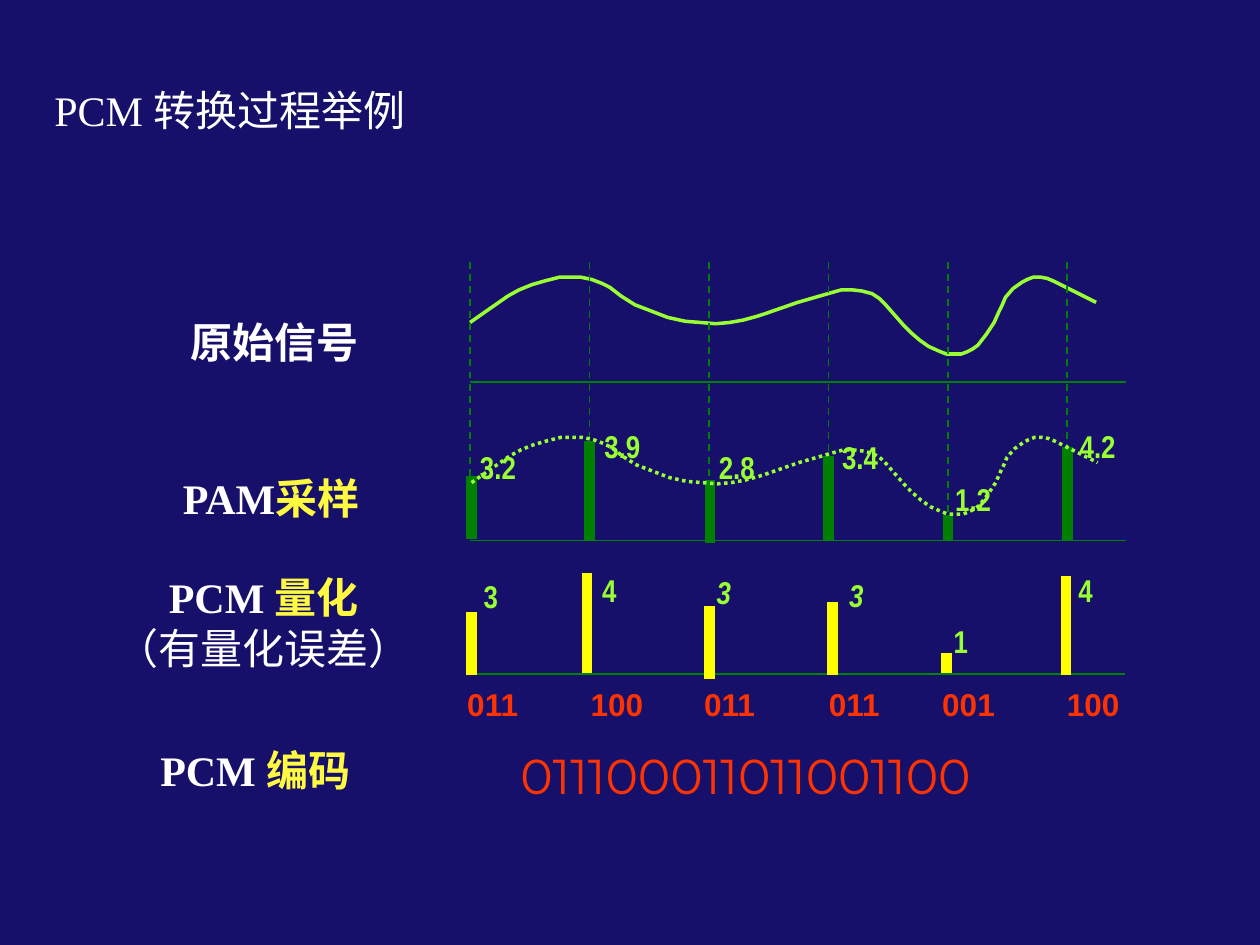
from collections import namedtuple
from dataclasses import dataclass

from lxml import etree
from pptx import Presentation
from pptx.dml.color import RGBColor
from pptx.enum.dml import MSO_LINE
from pptx.enum.shapes import MSO_CONNECTOR
from pptx.enum.text import MSO_ANCHOR, PP_ALIGN
from pptx.oxml.ns import qn
from pptx.util import Pt

STRAIGHT = MSO_CONNECTOR.STRAIGHT
DASH, DOTTED = MSO_LINE.DASH, MSO_LINE.ROUND_DOT
LEFT, CENTER = PP_ALIGN.LEFT, PP_ALIGN.CENTER
TOP, MIDDLE = MSO_ANCHOR.TOP, MSO_ANCHOR.MIDDLE


@dataclass(frozen=True)
class Theme:
    navy: str = "16106B"
    white: str = "FFFFFF"
    yellow: str = "FFFA41"
    bright_yellow: str = "FFFF00"
    lime: str = "99FF33"
    green: str = "008000"
    red: str = "FF3300"
    heading: float = 24
    value: float = 18
    stream: float = 28
    serif: str = "Times New Roman"
    narrow: str = "Arial Narrow"
    sans: str = "Arial"
    display: str = "Montserrat"


THEME = Theme()
Box = namedtuple("Box", "left top width height")
Sample = namedtuple("Sample", "value label_dx label_y bar_dx bar_top bar_end italic", defaults=[False])

PITCH = 68.26
COLUMNS = 6

WAVE = [
    (0, 25.9), (21.6, 10.8), (28.1, 7.2), (35.3, 4.3), (42.5, 2.2), (51.1, 0),
    (56.9, 0), (63.4, 0), (69.8, 1.4), (75.6, 3.6), (79.9, 5.8), (86.4, 10.8),
    (94.3, 15.8), (103.7, 19.4), (113, 23), (123.1, 25.2), (131.8, 25.9),
    (140.4, 26.6), (148.3, 25.9), (156.2, 24.5), (164.2, 22.3), (168.5, 20.9),
    (187.2, 14.4), (207.4, 8.6), (212.4, 7.2), (218.2, 7.2), (223.9, 7.9),
    (229.7, 9.4), (234, 12.2), (236.9, 15.1), (247.7, 27.4), (252, 31.7),
    (257, 36), (262.1, 39.6), (268.6, 42.5), (272.2, 43.9), (276.5, 43.9),
    (280.8, 43.9), (284.4, 42.5), (287.3, 41), (290.2, 38.9), (295.2, 32.4),
    (299.5, 25.9), (302.4, 19.4), (303.8, 16.6), (306, 11.5), (310.3, 6.5),
    (315.4, 2.9), (318.2, 1.4), (321.8, 0), (326.2, 0), (329.8, 0.7),
    (333.4, 2.2), (357.8, 14.4),
]
PAM_SAMPLES = [
    Sample("3.2", -1.4, 12.2, 0.7, 31.7, -0.7),
    Sample("3.9", 1.4, 0, 0, 11.5, 0),
    Sample("2.8", -1.4, 12.2, 0.7, 33.8, 1.4),
    Sample("3.4", 0.7, 6.5, 0, 20.2, 0),
    Sample("1.2", -2.9, 30.2, 0, 54, 0),
    Sample("4.2", 0, 0, 0, 15.1, 0),
]
PCM_SAMPLES = [
    Sample("3", 2.2, 3.6, 2.2, 27.4, 0.7),
    Sample("4", 1.6, 0, 0, 5, -0.7),
    Sample("3", -1.2, 1.4, 1.7, 23.8, 2.9, True),
    Sample("3", 6.2, 2.9, 4, 21.6, 0.7, True),
    Sample("1", -2.3, 29.5, 0.6, 50.4, -0.7),
    Sample("4", 0.7, 0, 0.7, 6.5, 0.7),
]
CODES = [("011", 0), ("100", 2.3), ("011", -1.2), ("011", 1.9), ("001", -1.6), ("100", 1.4)]


def text_format(name, size, color, bold=False, italic=False):
    return {"name": name, "size": Pt(size), "bold": bold, "italic": italic, "color": color}


def apply_font(font, values):
    for attribute, value in values.items():
        if attribute == "color":
            font.color.rgb = RGBColor.from_string(value)
        else:
            setattr(font, attribute, value)


def add_runs(paragraph, runs, align=LEFT):
    paragraph.alignment = align
    for words, values in runs:
        run = paragraph.add_run()
        run.text = words
        apply_font(run.font, values)


def add_text(slide, box, lines, align=LEFT):
    frame = slide.shapes.add_textbox(*map(Pt, box)).text_frame
    frame.word_wrap = False
    frame.vertical_anchor = TOP
    for index, runs in enumerate(lines):
        paragraph = frame.add_paragraph() if index else frame.paragraphs[0]
        add_runs(paragraph, runs, align)


def style_line(line, color, width, dash=None):
    line.color.rgb = RGBColor.from_string(color)
    line.width = Pt(width)
    if dash:
        line.dash_style = dash


def add_line(slide, start, end, color, width, dash=None):
    connector = slide.shapes.add_connector(STRAIGHT, *map(Pt, start + end))
    style_line(connector.line, color, width, dash)
    etree.SubElement(connector._element.spPr, qn("a:effectLst"))


def add_wave(slide, left, top, width, dash=None):
    start, *rest = [(Pt(left + x), Pt(top + y)) for x, y in WAVE]
    builder = slide.shapes.build_freeform(*start)
    builder.add_line_segments(rest, close=False)
    wave = builder.convert_to_shape()
    wave.shadow.inherit = False
    wave.fill.background()
    style_line(wave.line, THEME.lime, width, dash)


def add_title(slide, box):
    title = slide.shapes.title
    for attribute, value in box._asdict().items():
        setattr(title, attribute, Pt(value))
    title.text_frame.vertical_anchor = MIDDLE
    heading = text_format(THEME.serif, THEME.heading, THEME.white)
    add_runs(title.text_frame.paragraphs[0], [("PCM 转换过程举例", heading)])


def add_stage_labels(slide, box):
    plain = text_format(THEME.narrow, THEME.heading, THEME.white)
    bold = {**plain, "bold": True}
    stage = {**bold, "name": THEME.serif}
    action = {**bold, "color": THEME.yellow}
    labels = [
        (45.2, 0, 110.4, 36, [[("原始信号", bold)]]),
        (40.6, 89.3, 122.9, 36, [[("PAM", stage), ("采样", {**action, "name": THEME.serif})]]),
        (0, 146.2, 187.9, 64.8, [[("PCM ", stage), ("量化", action)], [("（有量化误差）", plain)]]),
        (27.7, 244.8, 128.6, 36, [[("PCM ", stage), ("编码", action)]]),
    ]
    for dx, dy, width, height, lines in labels:
        align = CENTER if len(lines) > 1 else LEFT
        add_text(slide, Box(box.left + dx, box.top + dy, width, height), lines, align)


def add_axis(slide, box, y):
    add_line(slide, (box.left, y), (box.left + box.width, y), THEME.green, 1)


def add_original_signal(slide, box):
    add_wave(slide, box.left, box.top + 8.6, 2)
    for column in range(COLUMNS):
        x = box.left + column * PITCH
        add_line(slide, (x, box.top), (x, box.top + box.height), THEME.green, 1, DASH)
    add_axis(slide, box, box.top + 68.4)


def add_samples(slide, box, samples, bar_color, label_width):
    axis_y = box.top + box.height
    add_axis(slide, box, axis_y)
    for column, sample in enumerate(samples):
        x = box.left + column * PITCH
        values = text_format(THEME.narrow, THEME.value, THEME.lime, True, sample.italic)
        label = Box(x + sample.label_dx, box.top + sample.label_y, label_width, 28.8)
        add_text(slide, label, [[(sample.value, values)]])
        bar_x = x + sample.bar_dx
        add_line(slide, (bar_x, axis_y + sample.bar_end), (bar_x, box.top + sample.bar_top), bar_color, 6)


def add_pam(slide, box):
    add_samples(slide, box, PAM_SAMPLES, THEME.green, 35.3)
    add_wave(slide, box.left + 0.9, box.top + 9.4, 2, DOTTED)


def add_pcm(slide, box):
    add_samples(slide, box, PCM_SAMPLES, THEME.bright_yellow, 23)


def add_codes(slide, box):
    values = text_format(THEME.sans, THEME.value, THEME.red, True)
    for column, (code, dx) in enumerate(CODES):
        cell = Box(box.left + column * PITCH + dx, box.top, 44.6, box.height)
        add_text(slide, cell, [[(code, values)]])


def add_bitstream(slide, box):
    bits = "".join(code for code, _ in CODES)
    add_text(slide, box, [[(bits, text_format(THEME.display, THEME.stream, THEME.red))]])


def main():
    deck = Presentation()
    deck.slide_width, deck.slide_height = Pt(720), Pt(540)
    slide = deck.slides.add_slide(deck.slide_layouts[5])
    slide.background.fill.solid()
    slide.background.fill.fore_color.rgb = RGBColor.from_string(THEME.navy)
    add_title(slide, Box(23.8, 41.8, 576, 41.8))
    add_original_signal(slide, Box(268.6, 149.8, 375.1, 159.1))
    add_pcm(slide, Box(267.1, 322.6, 375.8, 62.6))
    add_codes(slide, Box(259.9, 388.1, 386, 28.8))
    add_stage_labels(slide, Box(56.8, 177.1, 187.9, 280.8))
    add_bitstream(slide, Box(290.2, 422.6, 293.8, 41))
    add_pam(slide, Box(268.6, 240.5, 375.1, 68.4))
    deck.save("out.pptx")


if __name__ == "__main__":
    main()
